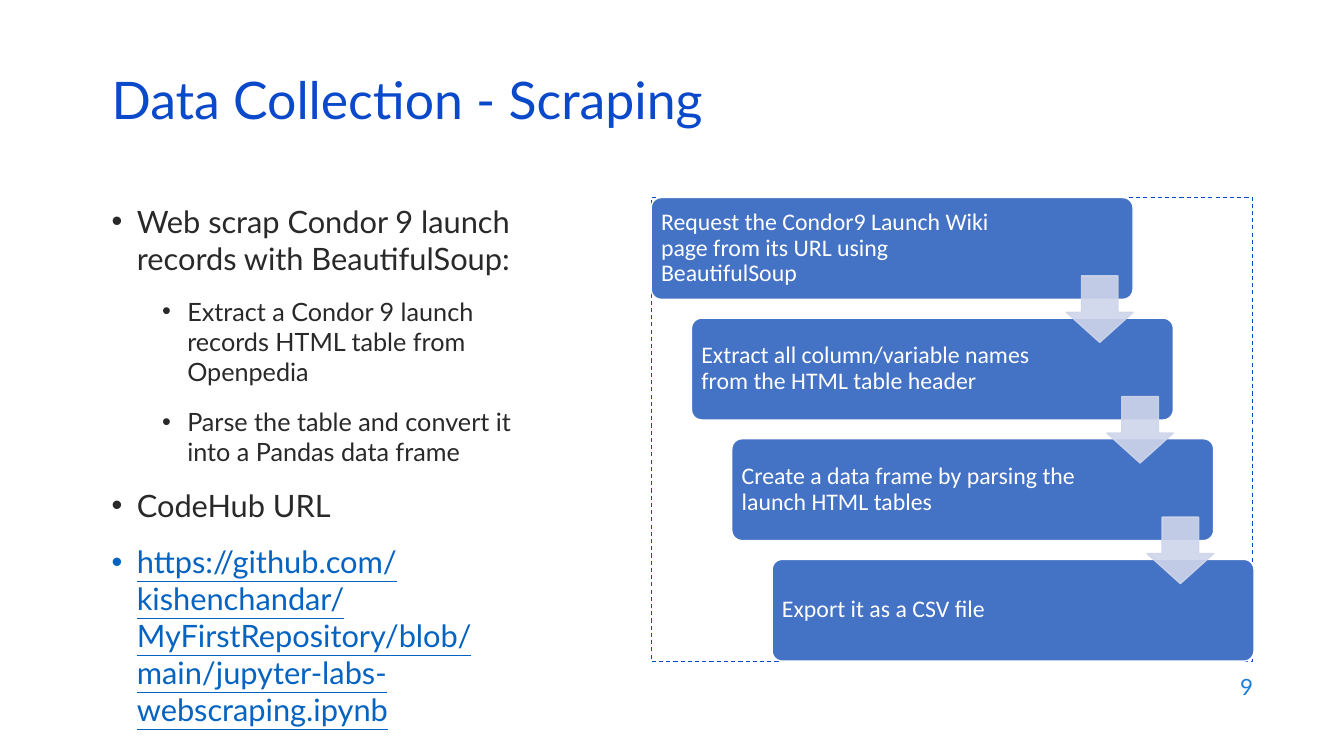
from lxml import etree
from pptx import Presentation
from pptx import util as u
from pptx.dml.color import RGBColor
from pptx.enum import dml, shapes, text
from pptx.oxml import ns

TITLE_BLUE = RGBColor(0x0B, 0x49, 0xCB)
NUMBER_BLUE = RGBColor(0x1C, 0x7D, 0xDB)
LINK_BLUE = RGBColor(0x05, 0x63, 0xC1)
CARD_BLUE = RGBColor(0x44, 0x72, 0xC4)
ARROW_BLUE = RGBColor(0xCF, 0xD5, 0xEA)
INK = RGBColor(0x29, 0x29, 0x29)
WHITE = RGBColor(0xFF, 0xFF, 0xFF)

BULLETS = [
    (0, 22, INK, "Web scrap Condor 9 launch records with\u00a0BeautifulSoup:"),
    (1, 18, INK, "Extract a Condor 9 launch records HTML table from Openpedia"),
    (1, 18, INK, "Parse the table and convert it into a Pandas data frame"),
    (0, 22, INK, "CodeHub URL"),
    (0, 22, LINK_BLUE, "https://github.com/kishenchandar/MyFirstRepository/blob/main/"
                       "jupyter-labs-webscraping.ipynb"),
]
STEPS = [
    "Request the Condor9 Launch Wiki page from its URL using BeautifulSoup",
    "Extract all column/variable names from the HTML table header",
    "Create a data frame by parsing the launch HTML tables",
    "Export it as a CSV file",
]

# Staircase of cards, in points
CARD_LEFT, CARD_TOP = 465.1, 141.1
CARD_WIDTH, CARD_HEIGHT = 344.2, 72.7
STEP_X, STEP_Y = 28.8, 86.15
ARROW_SIZE = 47.5


class SlideBuilder:
    """Holds the slide and its text style, and draws each kind of element."""

    def __init__(self, slide, font="Lato"):
        self.slide = slide
        self.font = font

    def text_box(self, left, top, width, height, anchor=text.MSO_ANCHOR.MIDDLE, inset=None):
        box = self.slide.shapes.add_textbox(u.Pt(left), u.Pt(top), u.Pt(width), u.Pt(height))
        frame = box.text_frame
        frame.word_wrap = True
        frame.vertical_anchor = anchor
        if inset is not None:
            frame.margin_left = frame.margin_right = u.Pt(inset)
            frame.margin_top = frame.margin_bottom = u.Pt(inset)
        return frame

    def add_run(self, paragraph, words, size, color, font=None, underline=None):
        run = paragraph.add_run()
        run.text = words
        run.font.name = font or self.font
        run.font.size = u.Pt(size)
        run.font.color.rgb = color
        run.font.underline = underline

    def label(self, bounds, words, size, color, align=text.PP_ALIGN.LEFT,
              spacing=1.0, font=None, inset=None):
        paragraph = self.text_box(*bounds, inset=inset).paragraphs[0]
        paragraph.alignment = align
        paragraph.line_spacing = spacing
        self.add_run(paragraph, words, size, color, font)

    def bullet_list(self, bounds, items):
        frame = self.text_box(*bounds, anchor=text.MSO_ANCHOR.TOP)
        for index, (level, size, color, words) in enumerate(items):
            paragraph = frame.add_paragraph() if index else frame.paragraphs[0]
            paragraph.level = level
            properties = paragraph._p.get_or_add_pPr()
            properties.set("marL", str(u.Pt(18 + 36 * level)))
            properties.set("indent", str(u.Pt(-18)))
            etree.SubElement(properties, ns.qn("a:buFont"), typeface="Arial")
            etree.SubElement(properties, ns.qn("a:buChar"), char="•")
            if index:
                paragraph.space_before = u.Pt(14)
            self.add_run(paragraph, words, size, color,
                         underline=True if color == LINK_BLUE else None)

    def block(self, kind, bounds, fill, line, width=1, adjustments=(), opacity=None):
        shape = self.slide.shapes.add_shape(kind, *[u.Pt(value) for value in bounds])
        shape.shadow.inherit = False
        for index, value in enumerate(adjustments):
            shape.adjustments[index] = value
        if fill is None:
            shape.fill.background()
        else:
            shape.fill.solid()
            shape.fill.fore_color.rgb = fill
        shape.line.color.rgb = line
        shape.line.width = u.Pt(width)
        if opacity is not None:
            for color in shape._element.spPr.iter(ns.qn("a:srgbClr")):
                etree.SubElement(color, ns.qn("a:alpha"), val=str(opacity * 1000))
        return shape


def main():
    presentation = Presentation()
    presentation.slide_width = u.Pt(960)
    presentation.slide_height = u.Pt(540)
    slide = presentation.slides.add_slide(presentation.slide_layouts[6])
    builder = SlideBuilder(slide)

    # Page number, bullets and title
    builder.label((686.2, 474.5, 216, 31.7), "9", 16, NUMBER_BLUE, text.PP_ALIGN.RIGHT)
    builder.bullet_list((72.7, 141.1, 309.6, 300.2), BULLETS)
    builder.label((72.7, 54.7, 900, 43.2), "Data Collection - Scraping", 37, TITLE_BLUE,
                  spacing=0.7)

    # Dashed frame around the process
    frame = builder.block(shapes.MSO_SHAPE.RECTANGLE, (CARD_LEFT, CARD_TOP, 429.8, 331.2),
                          None, TITLE_BLUE, 0.75)
    frame.line.dash_style = dml.MSO_LINE.DASH

    # Process cards, each one step right and down
    for index, step in enumerate(STEPS):
        left, top = CARD_LEFT + index * STEP_X, CARD_TOP + index * STEP_Y
        builder.block(shapes.MSO_SHAPE.ROUNDED_RECTANGLE, (left, top, CARD_WIDTH, CARD_HEIGHT),
                      CARD_BLUE, WHITE, adjustments=(0.1,))
        builder.label((left + 2.1, top + 2.1, 263.5 if index else 259.2, 68.4), step, 17, WHITE,
                      spacing=0.9, font="Calibri", inset=5)

    # Arrows linking each card to the next
    for index in range(len(STEPS) - 1):
        left = CARD_LEFT + CARD_WIDTH - ARROW_SIZE + index * STEP_X
        top = CARD_TOP + 56 + index * STEP_Y
        builder.block(shapes.MSO_SHAPE.DOWN_ARROW, (left, top, ARROW_SIZE, ARROW_SIZE),
                      ARROW_BLUE, ARROW_BLUE, adjustments=(0.45, 0.55)[::-1], opacity=90)

    presentation.save("out.pptx")


if __name__ == "__main__":
    main()
